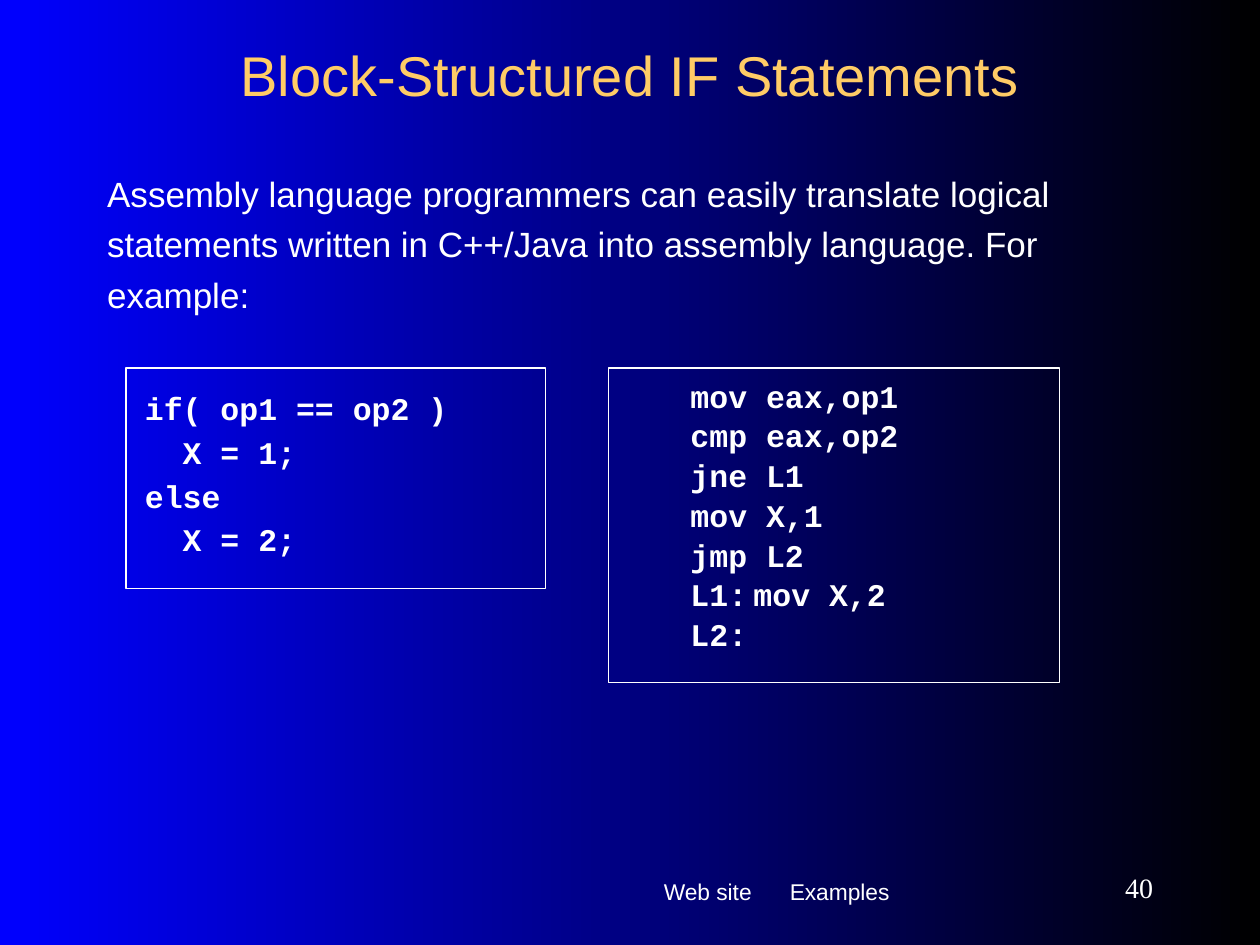
"""Build the slide on block-structured IF statements."""
from lxml.etree import SubElement
from pptx import Presentation
from pptx.dml.color import RGBColor
from pptx.enum.shapes import MSO_SHAPE
from pptx.enum.text import MSO_ANCHOR, MSO_AUTO_SIZE, PP_ALIGN
from pptx.oxml.ns import qn
from pptx.util import Emu, Pt

PX = 9144
COLORS = {"blue": "0000FF", "black": "000000", "gold": "FFCC66", "white": "FFFFFF"}

TITLE = "Block-Structured IF Statements"
BODY = (
    "Assembly language programmers can easily translate logical statements "
    "written in C++/Java into assembly language. For example:"
)
CODE_BOXES = [
    {
        "box": (483, 292, 358, 250),
        "lines": ["mov eax,op1", "cmp eax,op2", "jne L1", "mov X,1", "jmp L2", "L1:\tmov X,2", "L2:"],
        "format": {"indent": 50, "tab": 50, "line_spacing": 0.5, "space_before": 11.9},
    },
    {
        "box": (100, 292, 333, 175),
        "lines": ["if( op1 == op2 )", "  X = 1;", "else", "  X = 2;"],
        "format": {"line_spacing": 0.9, "space_before": 5.6},
    },
]
FOOTER = "Web site\tExamples"
PAGE_NUMBER = "40"


def px(*lengths):
    return [Emu(length * PX) for length in lengths]


def rgb(name):
    return RGBColor.from_string(COLORS[name])


def place(shape, box):
    shape.left, shape.top, shape.width, shape.height = px(*box)


def write(shape, lines, size, font="Arial", color="white", bold=False, align=PP_ALIGN.LEFT,
          anchor=MSO_ANCHOR.TOP, margins=(10, 5), indent=0, tab=None,
          line_spacing=1.0, space_before=0):
    frame = shape.text_frame
    frame.word_wrap = True
    frame.auto_size = MSO_AUTO_SIZE.NONE
    frame.vertical_anchor = anchor
    frame.margin_left, frame.margin_top = px(*margins)
    frame.margin_right, frame.margin_bottom = px(*margins)
    for index, line in enumerate(lines):
        paragraph = frame.add_paragraph() if index else frame.paragraphs[0]
        properties = paragraph._p.get_or_add_pPr()
        properties.set("marL", str(indent * PX))
        properties.set("indent", "0")
        SubElement(properties, qn("a:buNone"))
        if tab:
            tabs = SubElement(properties, qn("a:tabLst"))
            SubElement(tabs, qn("a:tab"), pos=str(tab * PX), algn="l")
        paragraph.alignment = align
        paragraph.line_spacing = line_spacing
        paragraph.space_before = Pt(space_before if index else 0)
        run = paragraph.add_run()
        run.text = line
        run.font.name = font
        run.font.size = Pt(size)
        run.font.bold = bold
        run.font.color.rgb = rgb(color)


def main():
    presentation = Presentation()
    presentation.slide_width, presentation.slide_height = px(1000, 750)
    slide = presentation.slides.add_slide(presentation.slide_layouts[1])

    background = slide.background.fill
    background.gradient()
    background.gradient_angle = 180
    for stop, name in zip(background.gradient_stops, ("black", "blue")):
        stop.color.rgb = rgb(name)

    title, body = slide.placeholders
    place(title, (75, 25, 850, 67))
    write(title, [TITLE], 32, color="gold", align=PP_ALIGN.CENTER, anchor=MSO_ANCHOR.MIDDLE)
    place(body, (75, 125, 850, 142))
    write(body, [BODY], 20, line_spacing=1.2)

    for code in CODE_BOXES:
        shape = slide.shapes.add_shape(MSO_SHAPE.RECTANGLE, *px(*code["box"]))
        shape.shadow.inherit = False
        shape.fill.background()
        shape.line.color.rgb = rgb("white")
        shape.line.width = Pt(0.75)
        write(shape, code["lines"], 18, font="Courier New", bold=True,
              margins=(15, 20), **code["format"])

    footer = slide.shapes.add_textbox(*px(517, 682, 300, 52))
    write(footer, [FOOTER], 13, margins=(10, 15), tab=94)
    number = slide.shapes.add_textbox(*px(817, 683, 108, 42))
    write(number, [PAGE_NUMBER], 16, font="Times New Roman", align=PP_ALIGN.RIGHT,
          anchor=MSO_ANCHOR.MIDDLE)

    presentation.save("out.pptx")


if __name__ == "__main__":
    main()
